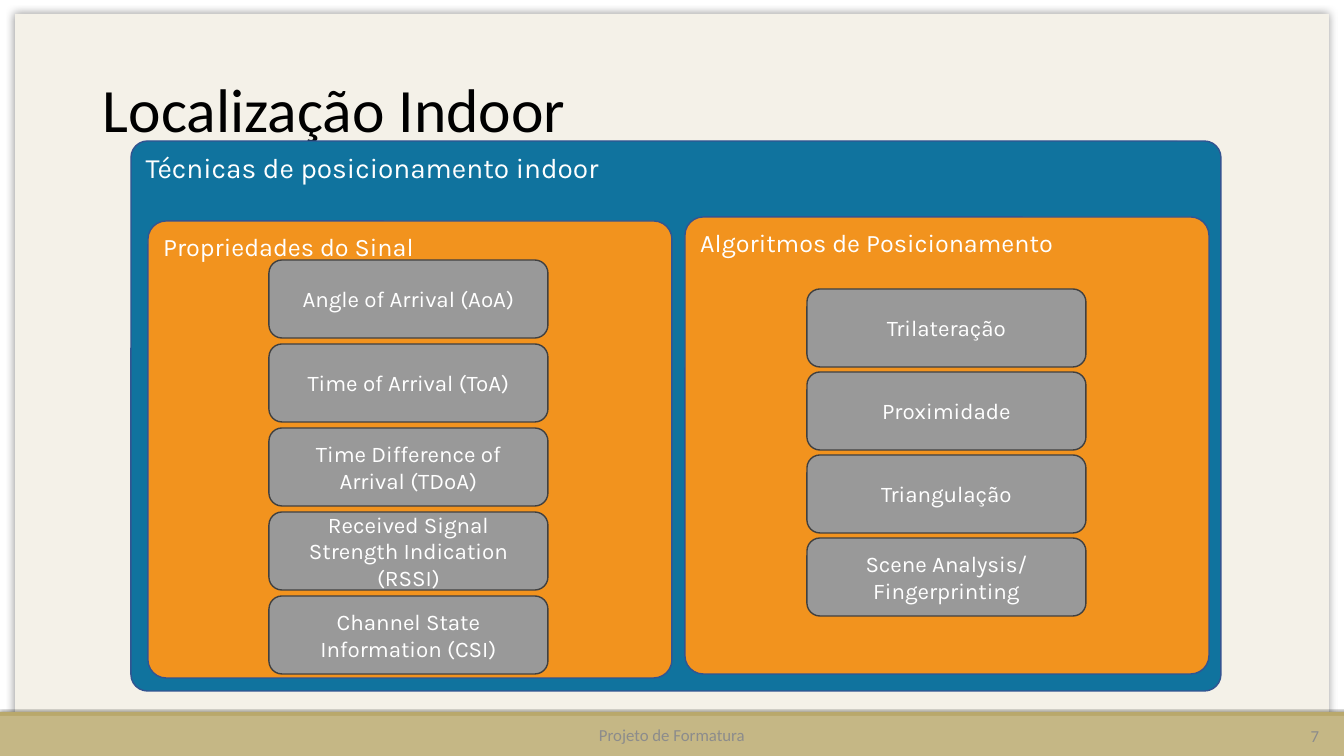
from lxml import etree
from pptx import Presentation
from pptx import util as u
from pptx.dml.color import RGBColor
from pptx.enum import shapes, text
from pptx.oxml.ns import qn

PX = 914400 / 100.8  # EMU in one px

COLOURS = {
    "paper": "F4F1E8", "band_edge": "B9A86B", "band": "C5B785",
    "blue": "10739E", "blue_line": "325491", "orange": "F2931E",
    "grey": "999999", "grey_line": "404040", "footer": "8C8C8C",
    "black": "000000", "white": "FFFFFF",
}
LEFT, CENTER, RIGHT = text.PP_ALIGN.LEFT, text.PP_ALIGN.CENTER, text.PP_ALIGN.RIGHT
TOP, MIDDLE = text.MSO_ANCHOR.TOP, text.MSO_ANCHOR.MIDDLE

BOX_W, BOX_H = 279, 78
GROUPS = [
    # heading, panel left, panel top, first box left, first box top, pitch, labels
    ("Propriedades do Sinal", 148, 221, 269, 260, 84, [
        "Angle of Arrival (AoA)",
        "Time of Arrival (ToA)",
        "Time Difference of Arrival (TDoA)",
        "Received Signal Strength Indication (RSSI)",
        "Channel State Information (CSI)"]),
    ("Algoritmos de Posicionamento", 685, 217, 807, 289, 83, [
        "Trilateração",
        "Proximidade",
        "Triangulação",
        "Scene Analysis/\nFingerprinting"]),
]


def rgb(name):
    return RGBColor.from_string(COLOURS[name])


def emu(*lengths):
    return [u.Emu(round(n * PX)) for n in lengths]


def write(sp, content, size, font, colour, align=LEFT, anchor=MIDDLE, spacing=None):
    tf = sp.text_frame
    tf.word_wrap = True
    tf.vertical_anchor = anchor
    for i, line in enumerate(content.split("\n")):
        p = tf.add_paragraph() if i else tf.paragraphs[0]
        p.alignment = align
        p.line_spacing = spacing
        r = p.add_run()
        r.text = line
        r.font.size = u.Pt(size)
        r.font.name = font
        r.font.color.rgb = rgb(colour)


def add_label(s, at, content, size, colour, align=LEFT, spacing=None):
    sp = s.shapes.add_textbox(*emu(*at))
    write(sp, content, size, "Calibri", colour, align, spacing=spacing)


def add_shadow(sp, blur, dist, angle):
    effects = sp._element.spPr.find(qn("a:effectLst"))
    shadow = etree.SubElement(
        effects, qn("a:outerShdw"), blurRad=str(u.Pt(blur)),
        dist=str(u.Pt(dist)), dir=str(angle * 60000), rotWithShape="0")
    clr = etree.SubElement(shadow, qn("a:srgbClr"), val=COLOURS["black"])
    etree.SubElement(clr, qn("a:alpha"), val="40000")


def add_block(s, at, fill, line=None, kind=shapes.MSO_SHAPE.RECTANGLE):
    sp = s.shapes.add_shape(kind, *emu(*at))
    sp.shadow.inherit = False
    sp.fill.solid()
    sp.fill.fore_color.rgb = rgb(fill)
    if line:
        sp.line.color.rgb = rgb(line)
        sp.line.width = u.Pt(1)
    else:
        sp.line.fill.background()
    return sp


def add_panel(s, at, heading, size, fill, corner):
    sp = add_block(s, at, fill, "blue_line", shapes.MSO_SHAPE.ROUNDED_RECTANGLE)
    sp.adjustments[0] = corner
    write(sp, heading, size, "Karla", "white", anchor=TOP)


def add_box(s, x, y, label):
    sp = add_block(s, (x, y, BOX_W, BOX_H), "grey", "grey_line",
                   shapes.MSO_SHAPE.ROUNDED_RECTANGLE)
    write(sp, label, 16, "Karla", "white", CENTER)


def main():
    prs = Presentation()
    prs.slide_width, prs.slide_height = emu(1344, 756)
    s = prs.slides.add_slide(prs.slide_layouts[6])

    # Paper and footer band
    add_shadow(add_block(s, (15, 14, 1314, 731), "paper"), 6, 0, 0)
    add_shadow(add_block(s, (0, 712, 1344, 42), "band_edge"), 1, 1, 270)
    add_block(s, (0, 716, 1344, 40), "band")
    add_label(s, (445, 715, 454, 40), "Projeto de Formatura", 12, "footer", CENTER)
    add_label(s, (1027, 716, 302, 40), "7", 12, "footer", RIGHT)

    # Title
    add_label(s, (93, 40, 1159, 146), "Localização Indoor", 44, "black", spacing=0.9)

    # Techniques: outer panel, then each group with its boxes
    add_panel(s, (131, 141, 1090, 550), "Técnicas de posicionamento indoor",
              20, "blue", 0.03)
    for heading, left, top, x, y, pitch, labels in GROUPS:
        add_panel(s, (left, top, 524, 457), heading, 18, "orange", 0.04)
        for i, label in enumerate(labels):
            add_box(s, x, y + i * pitch, label)

    prs.save("out.pptx")


if __name__ == "__main__":
    main()
